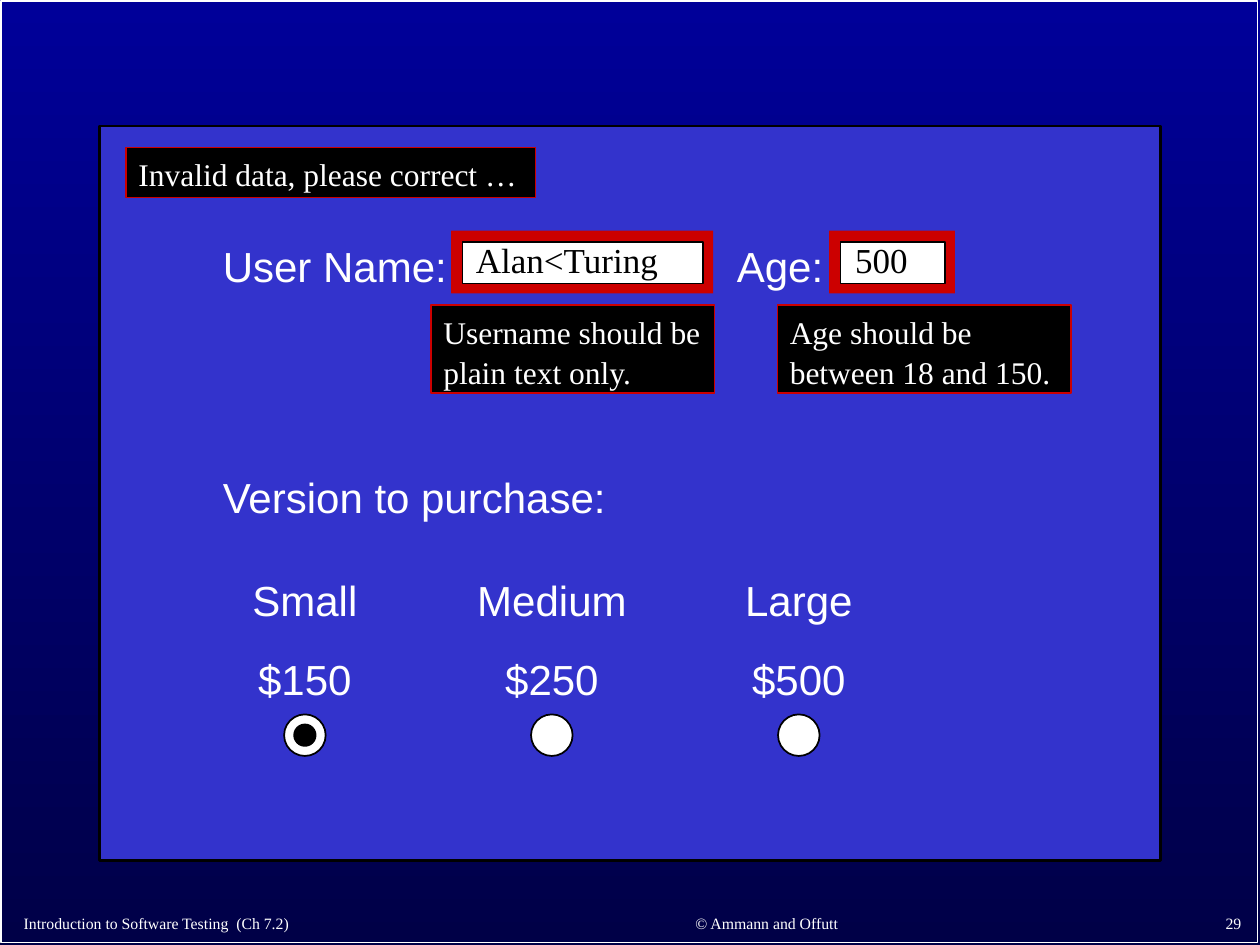
from pptx import Presentation
from pptx.dml.color import RGBColor
from pptx.enum.shapes import MSO_SHAPE
from pptx.enum.text import MSO_ANCHOR, PP_ALIGN
from pptx.util import Inches, Pt

WHITE, BLACK, RED, BLUE = "FFFFFF", "000000", "CC0000", "3333CC"
SANS, SERIF = "Arial", "Times New Roman"


def paint(target, color):
    target.rgb = RGBColor.from_string(color)


class Deck:
    def __init__(self, show):
        self.slide = show.slides.add_slide(show.slide_layouts[6])

    def backdrop(self, top, base):
        fill = self.slide.background.fill
        fill.gradient()
        fill.gradient_angle = 270
        for stop, color, place in zip(fill.gradient_stops, (top, base), (0, 1)):
            paint(stop.color, color)
            stop.position = place

    def shape(self, kind, x, y, w, h, fill=None, line=None, weight=1):
        item = self.slide.shapes.add_shape(
            kind, Inches(x), Inches(y), Inches(w), Inches(h))
        item.shadow.inherit = False
        if fill:
            item.fill.solid()
            paint(item.fill.fore_color, fill)
        else:
            item.fill.background()
        if line:
            paint(item.line.color, line)
            item.line.width = Pt(weight)
        else:
            item.line.fill.background()
        return item

    def box(self, *place, **style):
        return self.shape(MSO_SHAPE.RECTANGLE, *place, **style)

    def dot(self, mid, y, size, fill):
        self.shape(MSO_SHAPE.OVAL, mid - size / 2, y, size, size, fill, BLACK)

    def label(self, item, lines, size, font, color=WHITE,
              align=PP_ALIGN.LEFT, anchor=MSO_ANCHOR.TOP, gap=0):
        frame = item.text_frame
        frame.word_wrap = True
        frame.vertical_anchor = anchor
        frame.text = "\n".join(lines)
        for spot, para in enumerate(frame.paragraphs):
            para.alignment = align
            para.line_spacing = 1.05
            if spot:
                para.space_before = Pt(gap)
            para.font.size = Pt(size)
            para.font.name = font
            paint(para.font.color, color)

    def text(self, x, y, w, h, *lines, size=24, font=SANS, **style):
        item = self.slide.shapes.add_textbox(
            Inches(x), Inches(y), Inches(w), Inches(h))
        self.label(item, lines, size, font, **style)

    def error(self, x, y, w, h, words):
        item = self.box(x, y, w, h, fill=BLACK, line=RED, weight=0.75)
        self.label(item, [words], 18, SERIF)

    def field(self, x, w):
        self.box(x, 1.83, w, 0.5, fill=RED)
        self.box(x + 0.09, 1.92, w - 0.17, 0.33, fill=WHITE, line=BLACK)

    def entry(self, x, w, words):
        self.text(x, 1.83, w, 0.44, words, size=20, font=SERIF,
                  color=BLACK, align=PP_ALIGN.CENTER)

    def footer(self, x, y, w, h, words, align):
        self.text(x, y, w, h, words, size=9, font=SERIF,
                  align=align, anchor=MSO_ANCHOR.BOTTOM)


def main():
    show = Presentation()
    show.slide_width, show.slide_height = Inches(10), Inches(7.5)
    deck = Deck(show)
    deck.backdrop("000099", "000047")
    deck.box(0.01, 0.01, 9.97, 7.47, line=WHITE)
    deck.footer(4.5, 7.14, 3.17, 0.31, "© Ammann and Offutt", PP_ALIGN.CENTER)
    deck.footer(7.87, 7.13, 2.08, 0.32, "29", PP_ALIGN.RIGHT)
    deck.box(0.79, 1, 8.42, 5.83, fill=BLUE, line=BLACK, weight=1.5)

    for x, y, w, words in (
        (1.67, 1.84, 2, "User Name:"),
        (5.75, 1.84, 1, "Age:"),
        (1.67, 3.67, 3.33, "Version to purchase:"),
    ):
        deck.text(x, y, w, 0.5, words)

    plans = (("Small", "$150", 1.17), ("Medium", "$250", 1.42),
             ("Large", "$500", 1.17))
    first, step = 2.42, 1.96
    for spot, (name, price, w) in enumerate(plans):
        mid = first + spot * step
        deck.text(mid - w / 2, 4.49, w, 1.11, name, price,
                  align=PP_ALIGN.CENTER, gap=15)
        deck.dot(mid, 5.67, 0.33, WHITE)
    deck.dot(first, 5.75, 0.17, BLACK)

    deck.field(3.58, 2.08)
    deck.field(6.58, 1)
    deck.error(3.42, 2.42, 2.25, 0.7, "Username should be plain text only.")
    deck.error(6.17, 2.42, 2.33, 0.7, "Age should be between 18 and 150.")
    deck.error(1, 1.17, 3.25, 0.4, "Invalid data, please correct …")
    deck.entry(3.5, 2, "Alan<Turing")
    deck.entry(6.58, 0.83, "500")
    deck.footer(0.09, 7.15, 4.24, 0.3,
                "Introduction to Software Testing  (Ch 7.2)", PP_ALIGN.LEFT)
    show.save("out.pptx")


if __name__ == "__main__":
    main()
